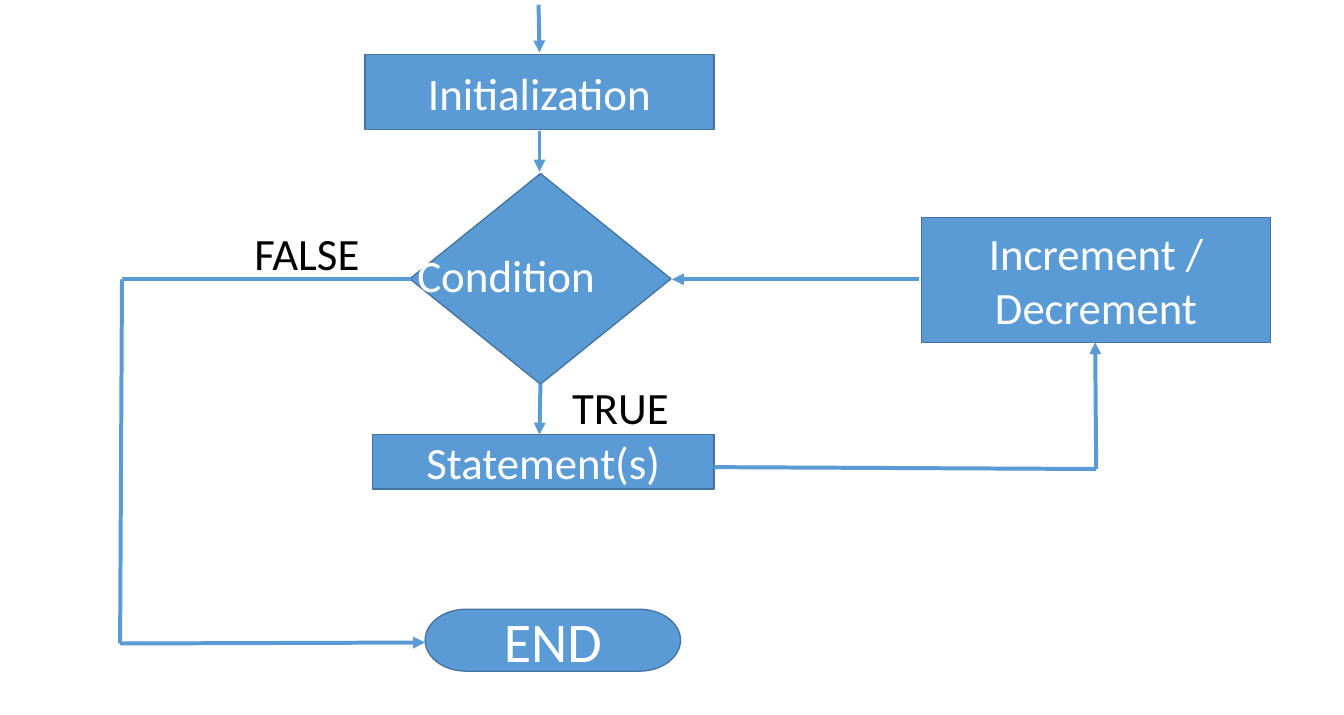
from itertools import pairwise

from lxml import etree
from pptx import Presentation
from pptx.dml.color import RGBColor
from pptx.enum.shapes import MSO_CONNECTOR, MSO_SHAPE
from pptx.enum.text import MSO_ANCHOR, MSO_AUTO_SIZE, PP_ALIGN
from pptx.oxml.ns import qn
from pptx.util import Inches, Pt

PROCESS = MSO_SHAPE.FLOWCHART_PROCESS
DECISION = MSO_SHAPE.FLOWCHART_DECISION
TERMINATOR = MSO_SHAPE.FLOWCHART_TERMINATOR
STRAIGHT = MSO_CONNECTOR.STRAIGHT
LEFT, CENTER = PP_ALIGN.LEFT, PP_ALIGN.CENTER
MIDDLE = MSO_ANCHOR.MIDDLE
FIT_SHAPE = MSO_AUTO_SIZE.SHAPE_TO_FIT_TEXT

COLORS = {"blue": "5B9BD5", "edge": "43739E", "white": "FFFFFF", "black": "000000"}
FONT = "Calibri"
SLIDE_SIZE = 14.1, 7.5
LABEL_HEIGHT = 0.67

STEPS = [
    (DECISION, "", 34, (4.3, 1.82, 2.74, 2.21)),
    (PROCESS, "Initialization", 34, (3.83, 0.57, 3.66, 0.79)),
    (PROCESS, "Increment / Decrement", 33.8, (9.67, 2.28, 3.66, 1.31)),
    (PROCESS, "Statement(s)", 33.8, (3.91, 4.56, 3.58, 0.57)),
    (TERMINATOR, "END", 42.3, (4.46, 6.39, 2.68, 0.65)),
]
ROUTES = [
    [(5.65, 0.05), (5.66, 0.55)],
    [(5.66, 1.37), (5.66, 1.8)],
    [(5.67, 4.03), (5.66, 4.56)],
    [(7.49, 4.9), (11.5, 4.92), (11.49, 3.59)],
    [(9.64, 2.93), (7.05, 2.93)],
    [(4.31, 2.93), (1.28, 2.93), (1.26, 6.75), (4.46, 6.74)],
]
LABELS = [
    ("TRUE", 33.8, "black", CENTER, (5.65, 3.93, 1.72)),
    ("FALSE", 33.8, "black", CENTER, (2.21, 2.32, 2.02)),
    ("Condition", 34, "white", LEFT, (4.28, 2.55, 2.83)),
]


def color(name):
    return RGBColor.from_string(COLORS[name])


def write(box, text, size, ink, align):
    frame = box.text_frame
    frame.word_wrap = True
    frame.text = text
    para = frame.paragraphs[0]
    para.alignment = align
    for span in para.runs:
        span.font.name = FONT
        span.font.size = Pt(size)
        span.font.color.rgb = color(ink)


def add_step(page, kind, text, size, place):
    box = page.shapes.add_shape(kind, *map(Inches, place))
    box.shadow.inherit = False
    box.fill.solid()
    box.fill.fore_color.rgb = color("blue")
    box.line.color.rgb = color("edge")
    box.line.width = Pt(1)
    if text:
        write(box, text, size, "white", CENTER)
        box.text_frame.vertical_anchor = MIDDLE


def add_route(page, points):
    for start, end in pairwise(points):
        line = page.shapes.add_connector(STRAIGHT, *map(Inches, start + end))
        line.line.color.rgb = color("blue")
        line.line.width = Pt(3)
        properties = line.element.spPr
        etree.SubElement(properties, qn("a:effectLst"))
    etree.SubElement(properties.find(qn("a:ln")), qn("a:tailEnd"), type="triangle")


def add_label(page, text, size, ink, align, place):
    box = page.shapes.add_textbox(*map(Inches, place + (LABEL_HEIGHT,)))
    write(box, text, size, ink, align)
    box.text_frame.auto_size = FIT_SHAPE


deck = Presentation()
deck.slide_width, deck.slide_height = map(Inches, SLIDE_SIZE)
page = deck.slides.add_slide(deck.slide_layouts[6])
for step in STEPS:
    add_step(page, *step)
for route in ROUTES:
    add_route(page, route)
for label in LABELS:
    add_label(page, *label)
deck.save("out.pptx")
